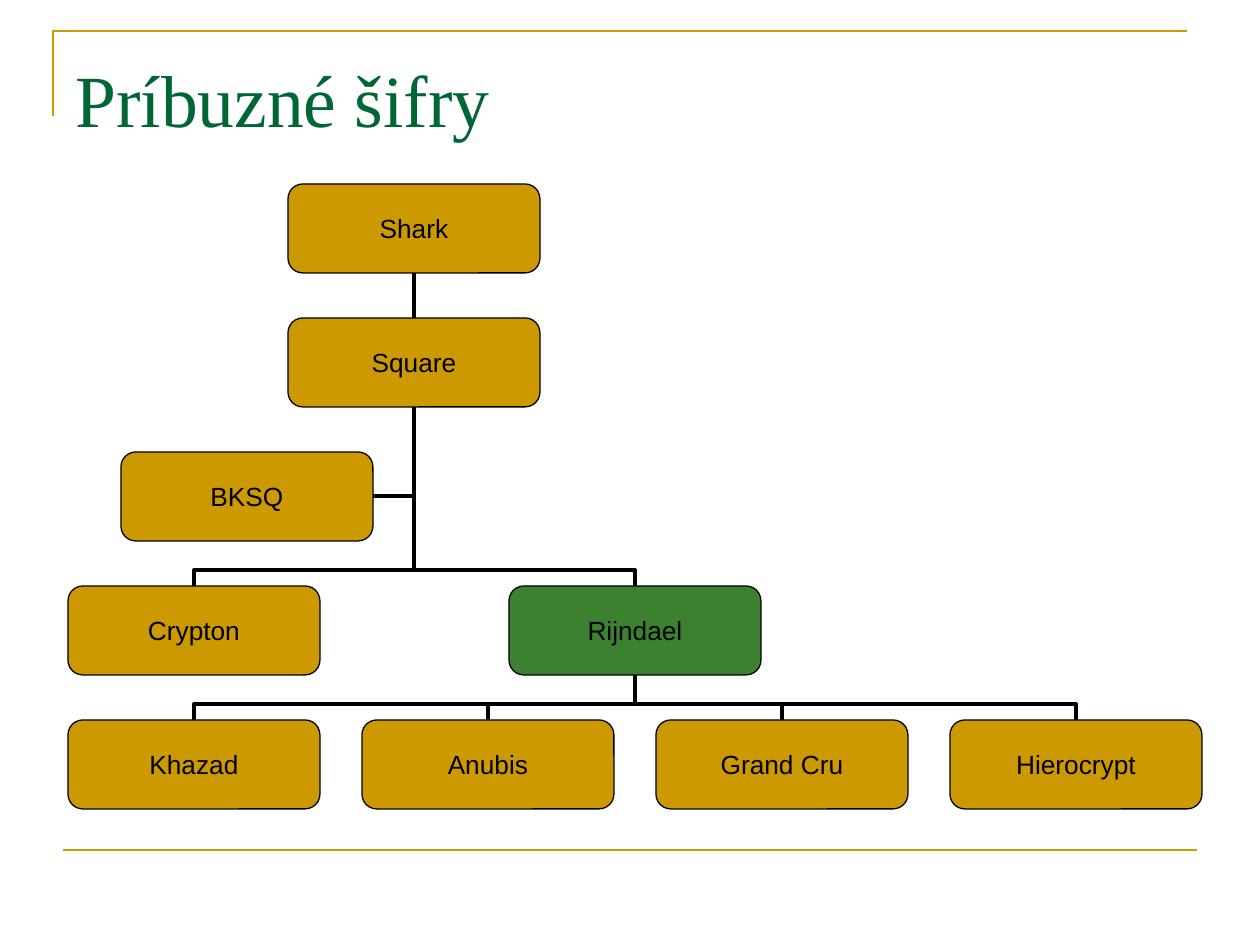
from lxml.etree import SubElement
from pptx import Presentation
from pptx.dml.color import RGBColor
from pptx.enum.shapes import MSO_CONNECTOR, MSO_SHAPE
from pptx.enum.text import MSO_ANCHOR, PP_ALIGN
from pptx.oxml.ns import qn
from pptx.util import Pt

PX = 914400 / 126
GOLD = RGBColor(0xCC, 0x99, 0x00)
GREEN = RGBColor(0x3B, 0x81, 0x2F)
DARK_GREEN = RGBColor(0x00, 0x66, 0x33)
BLACK = RGBColor(0x00, 0x00, 0x00)

BOX_WIDTH, BOX_HEIGHT = 252, 89
COLUMN_STEP, ROW_STEP = 294, 134
BUS_GAP = 16
TOP, LEFT, BOTTOM, RIGHT = range(4)

CIPHERS = [
    ("Shark", 220, 0),
    ("Square", 220, 1),
    ("BKSQ", 53, 2),
    ("Crypton", 0, 3),
    ("Rijndael", 441, 3),
] + [
    (name, column * COLUMN_STEP, 4)
    for column, name in enumerate(["Khazad", "Anubis", "Grand Cru", "Hierocrypt"])
]
CHILDREN = {
    "Square": ["Crypton", "Rijndael"],
    "Rijndael": ["Khazad", "Anubis", "Grand Cru", "Hierocrypt"],
}


def px(length):
    return round(length * PX)


def style_line(line, color, width):
    line.color.rgb = color
    line.width = Pt(width)


def add_line(page, kind, color, width, start=(0, 0), end=(0, 0)):
    line = page.shapes.add_connector(kind, *map(px, start + end))
    style_line(line.line, color, width)
    SubElement(line._element.spPr, qn("a:effectLst"))
    return line


def add_frame(page, left, top, width, height):
    builder = page.shapes.build_freeform(px(left), px(top + 85))
    corner = [(px(left), px(top)), (px(left + width), px(top))]
    builder.add_line_segments(corner, close=False)
    frame = builder.convert_to_shape()
    frame.shadow.inherit = False
    frame.fill.background()
    style_line(frame.line, GOLD, 1.5)
    base = top + height
    add_line(page, MSO_CONNECTOR.STRAIGHT, GOLD, 1.5,
             (left + 10, base), (left + 10 + width, base))


def add_title(page, left, top, width, height):
    box = page.shapes.add_textbox(*map(px, (left, top, width, height)))
    box.text_frame.word_wrap = True
    box.text_frame.margin_top = px(16)
    para = box.text_frame.paragraphs[0]
    para.text = "Príbuzné šifry"
    para.font.name = "Times New Roman"
    para.font.size = Pt(42)
    para.font.color.rgb = DARK_GREEN


def add_cipher(page, name, left, top):
    box = page.shapes.add_shape(
        MSO_SHAPE.ROUNDED_RECTANGLE, *map(px, (left, top, BOX_WIDTH, BOX_HEIGHT)))
    box.shadow.inherit = False
    box.fill.solid()
    box.fill.fore_color.rgb = GREEN if name == "Rijndael" else GOLD
    style_line(box.line, BLACK, 0.75)
    frame = box.text_frame
    frame.word_wrap = False
    frame.vertical_anchor = MSO_ANCHOR.MIDDLE
    frame.margin_left = frame.margin_top = frame.margin_right = frame.margin_bottom = 0
    para = frame.paragraphs[0]
    para.text = name
    para.alignment = PP_ALIGN.CENTER
    para.font.name = "Arial"
    para.font.size = Pt(15)
    para.font.color.rgb = BLACK
    return box


def link(page, kind, child, child_side, parent):
    line = add_line(page, kind, BLACK, 2.25)
    line.begin_connect(child, child_side)
    line.end_connect(parent, BOTTOM)
    return line


def link_branch(page, child, parent):
    line = link(page, MSO_CONNECTOR.ELBOW, child, TOP, parent)
    to_left = line.begin_x < line.end_x
    span, rise = line.width, line.height
    center_x, center_y = line.left + span // 2, line.top + rise // 2
    line.left, line.top = center_x - rise // 2, center_y - span // 2
    line.width, line.height = rise, span
    properties = line._element.spPr
    properties.xfrm.set("rot", "5400000" if to_left else "16200000")
    properties.xfrm.set("flipH", "1" if to_left else "0")
    properties.xfrm.set("flipV", "1")
    bend = round(100000 * px(BUS_GAP) / rise)
    adjustments = properties.prstGeom.get_or_add_avLst()
    SubElement(adjustments, qn("a:gd"), name="adj1", fmla=f"val {bend}")


def link_side(page, child, parent):
    line = link(page, MSO_CONNECTOR.ELBOW, child, RIGHT, parent)
    line._element.spPr.prstGeom.set("prst", "bentConnector2")


def add_family_tree(page, left, top):
    boxes = {
        name: add_cipher(page, name, left + offset, top + row * ROW_STEP)
        for name, offset, row in CIPHERS
    }
    link(page, MSO_CONNECTOR.STRAIGHT, boxes["Square"], TOP, boxes["Shark"])
    link_side(page, boxes["BKSQ"], boxes["Square"])
    for parent, children in CHILDREN.items():
        for child in children:
            link_branch(page, boxes[child], boxes[parent])


def main():
    deck = Presentation()
    deck.slide_width, deck.slide_height = px(1260), px(945)
    page = deck.slides.add_slide(deck.slide_layouts[6])
    add_frame(page, 53, 31, 1134, 819)
    add_title(page, 63, 38, 1134, 158)
    add_family_tree(page, 68, 184)
    deck.save("out.pptx")


if __name__ == "__main__":
    main()
